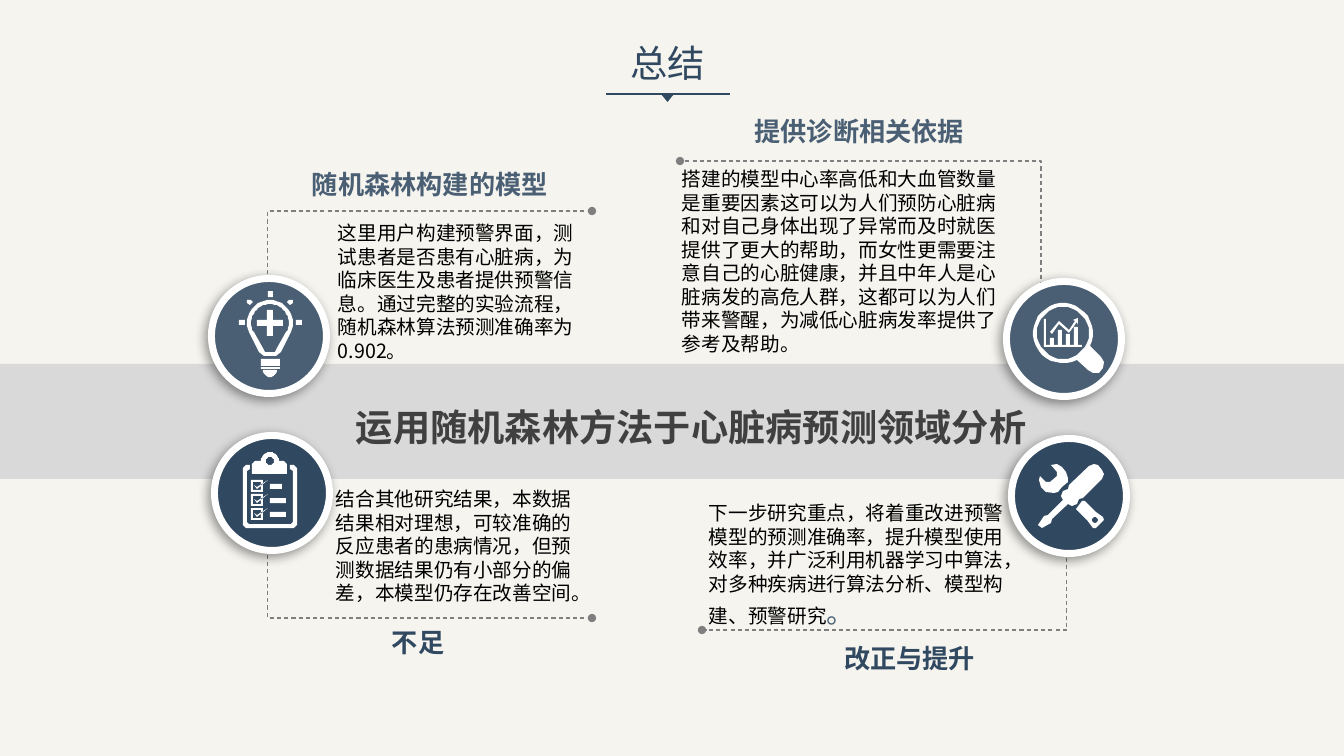
from math import cos, sin, radians
from lxml.etree import SubElement
from pptx import Presentation
from pptx.util import Pt
from pptx.dml.color import RGBColor as RGB
from pptx.enum.dml import MSO_LINE
from pptx.enum.shapes import MSO_CONNECTOR as LINK, MSO_SHAPE as SHAPE
from pptx.enum.text import MSO_ANCHOR as ANCHOR, PP_ALIGN as ALIGN
from pptx.oxml.ns import qn

# Content
FONT = "Noto Sans CJK SC"
COLOR = {"paper": "F5F4EF", "navy": "304860", "slate": "4A5F74", "band": "D9D9D9",
         "gray": "7F7F7F", "dark": "404040", "black": "000000", "white": "FFFFFF"}
TITLE = "总结"
BANNER = "运用随机森林方法于心脏病预测领域分析"
# icon, disc centre, colour, elbow points, (heading, box, align), (body, box, last mark)
TOPICS = [
    ("bulb", (269, 336), "slate", [(268, 285), (268, 211), (592, 211)],
     ("随机森林构建的模型", (302, 163, 270, 41), ALIGN.LEFT),
     ("这里用户构建预警界面，测试患者是否患有心脏病，为临床医生及患者提供预警信息。"
      "通过完整的实验流程，随机森林算法预测准确率为0.902。", (328, 216, 259, 152), "")),
    ("lens", (1064, 339), "slate", [(1041, 297), (1041, 161), (680, 161)],
     ("提供诊断相关依据", (734, 110, 240, 41), ALIGN.RIGHT),
     ("搭建的模型中心率高低和大血管数量是重要因素这可以为人们预防心脏病和对自己身体"
      "出现了异常而及时就医提供了更大的帮助，而女性更需要注意自己的心脏健康，"
      "并且中年人是心脏病发的高危人群，这都可以为人们带来警醒，"
      "为减低心脏病发率提供了参考及帮助。", (672, 162, 352, 175), "")),
    ("board", (272, 493), "navy", [(268, 544), (268, 618), (592, 618)],
     ("不足", (382, 621, 175, 41), ALIGN.LEFT),
     ("结合其他研究结果，本数据结果相对理想，可较准确的反应患者的患病情况，"
      "但预测数据结果仍有小部分的偏差，本模型仍存在改善空间。",
      (326, 482, 259, 128), "")),
    ("tools", (1069, 496), "navy", [(1067, 547), (1067, 630), (702, 630)],
     ("改正与提升", (808, 637, 177, 41), ALIGN.RIGHT),
     ("下一步研究重点，将着重改进预警模型的预测准确率，提升模型使用效率，"
      "并广泛利用机器学习中算法，对多种疾病进行算法分析、模型构建、预警研究",
      (699, 496, 317, 138), "。")),
]
DISC = 115


# Outline pieces, in px from the centre of a disc
def arc(x, y, r, start=0, end=360):
    turns = [radians(start + (end - start) * i / 32) for i in range(33)]
    return [(x + r * cos(t), y + r * sin(t)) for t in turns]


def box(x, y, w, h):
    return [(x, y), (x + w, y), (x + w, y + h), (x, y + h)]


def flip(pts, axis):
    return [(2 * axis - x, y) for x, y in pts]


ray = [(21, -31), (24, -33), (24, -36), (20, -36), (18, -34)]
bulb = [
    arc(1, -13, 23, 150, 390) + [(12, 16), (7, 20), (-5, 20), (-10, 16)],
    arc(1, -13, 19, 150, 390) + [(8, 12), (6, 16), (-4, 16), (-6, 12)],
    [(-2, -26), (4, -26), (4, -16), (14, -16), (14, -10), (4, -10),
     (4, 0), (-2, 0), (-2, -10), (-12, -10), (-12, -16), (-2, -16)],
    box(-8, 23, 19, 7), box(-8, 31, 19, 2), arc(1, 34, 7, 0, 180),
    box(-30, -16, 6, 5), box(27, -16, 6, 5), box(-1, -45, 5, 6), ray, flip(ray, 1)]

lens = [
    arc(-1, -6, 30, 63, 386) + [(37, 18), (40, 23), (39, 29), (35, 34), (29, 34), (24, 31)],
    arc(-1, -6, 26), box(-20, -20, 2, 26), box(-20, 6, 38, 2),
    [(-14, -7), (-5, -18), (5, -9), (11, -18), (9, -19), (14, -21), (14, -14),
     (13, -17), (5, -6), (-5, -15), (-12, -5)]]
lens += [box(x, top, 4, 6 - top) for x, top in [(-14, -1), (-6, -9), (2, -5), (10, -12)]]

side = [(18, -28), (22, -28), (25, -25), (25, 32), (22, 35), (-2, 35),
        (-2, 31), (19, 31), (21, 29), (21, -22), (18, -24)]
board = [side, flip(side, -2),
         [(-20, -19), (-20, -29), (-17, -32)] + arc(-2, -32, 9, 180, 360)
         + [(12, -32), (15, -29), (15, -19)],
         arc(-2, -32, 4)]
for row, wide in enumerate([12, 16, 16]):
    y = -13 + 14 * row
    board += [box(-21, y, 12, 12), box(-19, y + 2, 8, 8), box(-2, y + 4, wide, 5),
              [(-18, y + 5), (-15, y + 7), (-4, y), (-15, y + 9)]]

tools = [
    [(13, 5), (7, 13), (18, 24), (24, 32), (27, 32), (35, 24), (34, 21), (27, 16), (16, 5)],
    arc(26, 24, 3),
    [(-7, -9), (-1, -14), (-1, -18), (-3, -24), (-7, -29), (-12, -32), (-18, -31),
     (-12, -24), (-12, -20), (-19, -14), (-23, -14), (-29, -20), (-30, -16),
     (-28, -9), (-23, -4), (-15, -3), (-11, -4)],
    [(33, -26), (29, -31), (25, -32), (20, -30), (0, -11), (-1, -7), (-6, -5), (-8, 0),
     (-6, 4), (-21, 19), (-25, 20), (-31, 29), (-27, 32), (-18, 27), (-17, 23),
     (-1, 8), (3, 10), (8, 8), (10, 3), (14, 2), (33, -17), (35, -22)]]
ICONS = {"bulb": bulb, "lens": lens, "board": board, "tools": tools}

# Slide
PX = 914400 / 100.8
deck = Presentation()
deck.slide_width, deck.slide_height = round(1344 * PX), round(756 * PX)
slide = deck.slides.add_slide(deck.slide_layouts[5])
shapes = slide.shapes


def emu(*nums):
    return [round(n * PX) for n in nums]


def paint(fill, name):
    fill.solid()
    fill.fore_color.rgb = RGB.from_string(COLOR[name])


def solid(kind, rect, name):
    shp = shapes.add_shape(kind, *emu(*rect))
    shp.shadow.inherit = False
    paint(shp.fill, name)
    shp.line.fill.background()
    return shp


def style(font, size, name, bold=False, face=FONT):
    font.size, font.bold, font.name = Pt(size), bold, face
    paint(font.fill, name)
    SubElement(font._rPr, qn("a:ea"), typeface=face)


def write(text, rect, size, name, bold=False, align=ALIGN.LEFT, wrap=True):
    frame = shapes.add_textbox(*emu(*rect)).text_frame
    frame.word_wrap = wrap
    para = frame.paragraphs[0]
    para.text, para.alignment = text, align
    style(para.font, size, name, bold)
    return para


def trace(loops, closed):
    pen = shapes.build_freeform(*loops[0][0], scale=PX)
    for i, loop in enumerate(loops):
        if i:
            pen.move_to(*loop[0])
        pen.add_line_segments(loop[1:], close=closed)
    shp = pen.convert_to_shape()
    shp.shadow.inherit = False
    return shp


def elbow(pts):
    shp = trace([pts], False)
    shp.fill.background()
    paint(shp.line.fill, "gray")
    shp.line.width, shp.line.dash_style = Pt(0), MSO_LINE.DASH
    for end in ("a:headEnd", "a:tailEnd"):
        SubElement(shp.line._get_or_add_ln(), qn(end), type="oval")


def badge(icon, x, y, name):
    disc = solid(SHAPE.OVAL, (x - DISC / 2, y - DISC / 2, DISC, DISC), name)
    paint(disc.line.fill, "white")
    disc.line.width = Pt(5)
    glow = SubElement(disc._element.spPr.find(qn("a:effectLst")), qn("a:outerShdw"),
                      blurRad=str(Pt(8)), dist=str(Pt(3)), dir="8100000", rotWithShape="0")
    tint = SubElement(glow, qn("a:srgbClr"), val=COLOR["black"])
    SubElement(tint, qn("a:alpha"), val="40000")
    mark = trace([[(x + a, y + b) for a, b in loop] for loop in ICONS[icon]], True)
    paint(mark.fill, "white")
    mark.line.fill.background()


# Title with underline and pointer
paint(slide.background.fill, "paper")
head = shapes.title
head.left, head.top, head.width, head.height = emu(620, 35, 96, 55)
head.text_frame.text = TITLE
head.text_frame.word_wrap = False
head.text_frame.vertical_anchor = ANCHOR.MIDDLE
line = head.text_frame.paragraphs[0]
line.alignment = ALIGN.CENTER
style(line.font, 26.7, "navy")
rule = shapes.add_connector(LINK.STRAIGHT, *emu(606, 94, 730, 94))
paint(rule.line.fill, "navy")
rule.line.width = Pt(1.5)
SubElement(rule._element.spPr, qn("a:effectLst"))
solid(SHAPE.ISOSCELES_TRIANGLE, (661, 94, 13, 8), "navy").rotation = 180

# Elbows go behind the band and the discs
for topic in TOPICS:
    elbow(topic[3])
solid(SHAPE.RECTANGLE, (0, 364, 1344, 115), "band")
write(BANNER, (346, 399, 696, 54), 26.6, "dark", True, wrap=False)

# Four topics
for icon, (x, y), name, _, (label, spot, align), (body, area, last) in TOPICS:
    badge(icon, x, y, name)
    write(label, spot, 18.7, name, True, align)
    para = write(body, area, 14, "black")
    if last:
        run = para.add_run()
        run.text = last
        style(run.font, 20, "slate", face="Arial")

deck.save("out.pptx")
